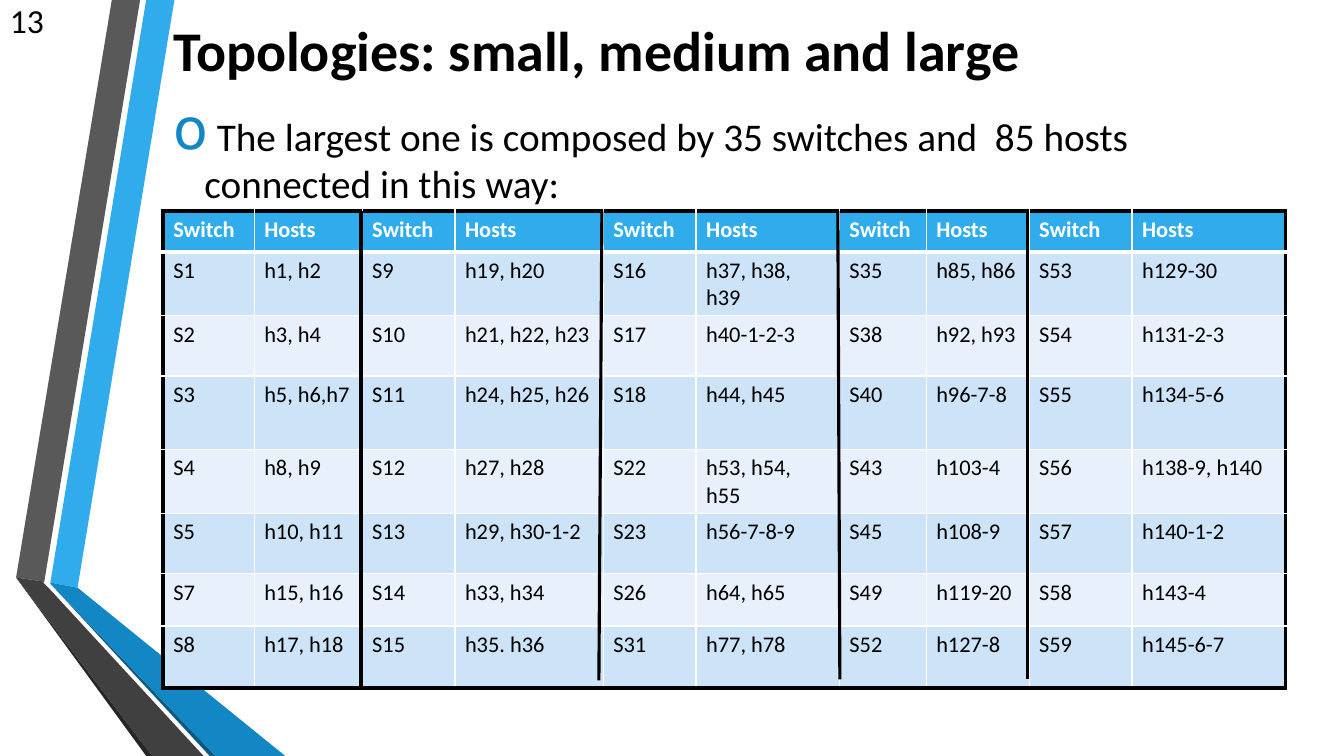
from itertools import accumulate
from lxml.etree import SubElement as Sub
from pptx import Presentation
from pptx.dml.color import RGBColor as RGB
from pptx.enum.shapes import MSO_CONNECTOR as Line
from pptx.enum.text import MSO_ANCHOR as Anchor
from pptx.oxml.ns import qn
from pptx.util import Inches, Pt

WIDE, HIGH = 13.33, 7.5
FONT = "Calibri"
HUES = {
    "black": "000000", "white": "FFFFFF", "sky": "30ACEC", "blue": "1287C3",
    "navy": "0C5A82", "gray": "595959", "dark": "404040", "coal": "262626",
    "odd": "CDE3F8", "even": "E8F1FB",
}

# Ribbon outlines, in hundredths of an inch
BANDS = [
    ("sky", [(50, 578), (77, 583), (173, 0), (145, 0)]),
    ("gray", [(139, 0), (111, 0), (16, 573), (44, 577)]),
    ("coal", [(16, 573), (145, 750), (151, 750)]),
    ("navy", [(50, 579), (208, 750), (214, 750)]),
    ("blue", [(50, 578), (50, 579), (214, 750), (283, 750), (77, 583)]),
    ("dark", [(202, 750), (48, 583), (43, 578), (44, 577), (16, 573), (151, 750)]),
]

COLS = [0.9, 1.07, 0.92, 1.47, 0.92, 1.42, 0.86, 1.02, 1.02, 1.52]
ROWS = [0.41, 0.6, 0.6, 0.73, 0.6, 0.6, 0.52, 0.62]
HOSTS = [
    ["Switch", "Hosts"] * 5,
    ["S1", "h1, h2", "S9", "h19, h20", "S16", "h37, h38, h39",
     "S35", "h85, h86", "S53", "h129-30"],
    ["S2", "h3, h4", "S10", "h21, h22, h23", "S17", "h40-1-2-3",
     "S38", "h92, h93", "S54", "h131-2-3"],
    ["S3", "h5, h6,h7", "S11", "h24, h25, h26", "S18", "h44, h45",
     "S40", "h96-7-8", "S55", "h134-5-6"],
    ["S4", "h8, h9", "S12", "h27, h28", "S22", "h53, h54, h55",
     "S43", "h103-4", "S56", "h138-9, h140"],
    ["S5", "h10, h11", "S13", "h29, h30-1-2", "S23", "h56-7-8-9",
     "S45", "h108-9", "S57", "h140-1-2"],
    ["S7", "h15, h16", "S14", "h33, h34", "S26", "h64, h65",
     "S49", "h119-20", "S58", "h143-4"],
    ["S8", "h17, h18", "S15", "h35. h36", "S31", "h77, h78",
     "S52", "h127-8", "S59", "h145-6-7"],
]
# Lean and length of each divider, left to right
RULES = [(0, 4.72), (-0.03, 4.66), (0.02, 4.65), (0, 4.65)]


def hue(name):
    return RGB.from_string(HUES[name])


def style(para, size, name="black", bold=False):
    for run in para.runs:
        font = run.font
        font.name, font.size, font.bold = FONT, Pt(size), bold
        font.color.rgb = hue(name)


def label(slide, box, text, size, bold=False):
    frame = slide.shapes.add_textbox(*map(Inches, box)).text_frame
    frame.word_wrap = True
    frame.vertical_anchor = Anchor.MIDDLE
    frame.text = text
    para = frame.paragraphs[0]
    style(para, size, bold=bold)
    return para


def ribbon(slide, box):
    left, top = map(Inches, box[:2])
    for name, dots in BANDS:
        path = slide.shapes.build_freeform(*dots[0], scale=Inches(0.01))
        path.add_line_segments(dots[1:], close=True)
        band = path.convert_to_shape(left, top)
        band.shadow.inherit = False
        band.fill.solid()
        band.fill.fore_color.rgb = hue(name)
        band.line.fill.background()


def bullet(slide, box, text):
    para = label(slide, box, text, 28)
    para.space_after = Pt(6)
    props = para._p.get_or_add_pPr()
    props.set("marL", str(Inches(0.31)))
    props.set("indent", str(-Inches(0.31)))
    before = Sub(props, qn("a:spcBef"))
    Sub(before, qn("a:spcPct"), val="20000")
    props.insert(0, before)
    tint = Sub(props, qn("a:buClr"))
    Sub(tint, qn("a:srgbClr"), val=HUES["blue"])
    Sub(props, qn("a:buSzPct"), val="145000")
    Sub(props, qn("a:buChar"), char="o")


def edge(cell, side, name, width):
    line = Sub(cell._tc.get_or_add_tcPr(), qn("a:ln" + side), w=str(Pt(width)))
    fill = Sub(line, qn("a:solidFill"))
    Sub(fill, qn("a:srgbClr"), val=HUES[name])


def grid(slide, box):
    shape = slide.shapes.add_table(len(ROWS), len(COLS), *map(Inches, box))
    table = shape.table
    table.first_row = table.horz_banding = False
    for part, size in zip(table.columns, COLS):
        part.width = Inches(size * box[2] / sum(COLS))
    for part, size in zip(table.rows, ROWS):
        part.height = Inches(size * box[3] / sum(ROWS))
    thin, thick, frame = ("white", 1), ("white", 3), ("black", 3)
    for r, row in enumerate(HOSTS):
        head = r == 0
        for c, text in enumerate(row):
            cell = table.cell(r, c)
            cell.text = text
            style(cell.text_frame.paragraphs[0], 16,
                  "white" if head else "black", head)
            # Black outer frame, white inner lines, thick under the header
            edge(cell, "L", *(frame if c == 0 else thin))
            edge(cell, "R", *(frame if c == len(COLS) - 1 else thin))
            edge(cell, "T", *(frame if head else thick if r == 1 else thin))
            edge(cell, "B", *(frame if r == len(ROWS) - 1
                              else thick if head else thin))
            cell.fill.solid()
            cell.fill.fore_color.rgb = hue(
                "sky" if head else "odd" if r % 2 else "even")


def rules(slide, box):
    left, top = box[:2]
    # One divider after each pair of columns
    stops = list(accumulate(COLS))[1:-1:2]
    for stop, (lean, size) in zip(stops, RULES):
        x = left + stop - 0.01
        ends = map(Inches, (x, top, x + lean, top + size))
        rule = slide.shapes.add_connector(Line.STRAIGHT, *ends)
        rule.line.color.rgb = hue("black")
        rule.line.width = Pt(2.25)
        Sub(rule._element.spPr, qn("a:effectLst"))


def main():
    deck = Presentation()
    deck.slide_width, deck.slide_height = Inches(WIDE), Inches(HIGH)
    slide = deck.slides.add_slide(deck.slide_layouts[6])
    left, wide = 1.62, 10.96
    area = (left, 2.09, 11.13, 4.67)
    # Side ribbon
    ribbon(slide, (0, 0, WIDE, HIGH))
    # Body, title and slide number
    bullet(slide, (left, 1.01, wide, 1.14),
           " The largest one is composed by 35 switches and  85 hosts "
           "connected in this way:")
    label(slide, (left, 0, wide, 0.97),
          "Topologies: small, medium and large", 40, True)
    # Switch table with its dividers
    grid(slide, area)
    label(slide, (0, 0, 0.6, 0.4), "13", 24)
    rules(slide, area)
    deck.save("out.pptx")


if __name__ == "__main__":
    main()
